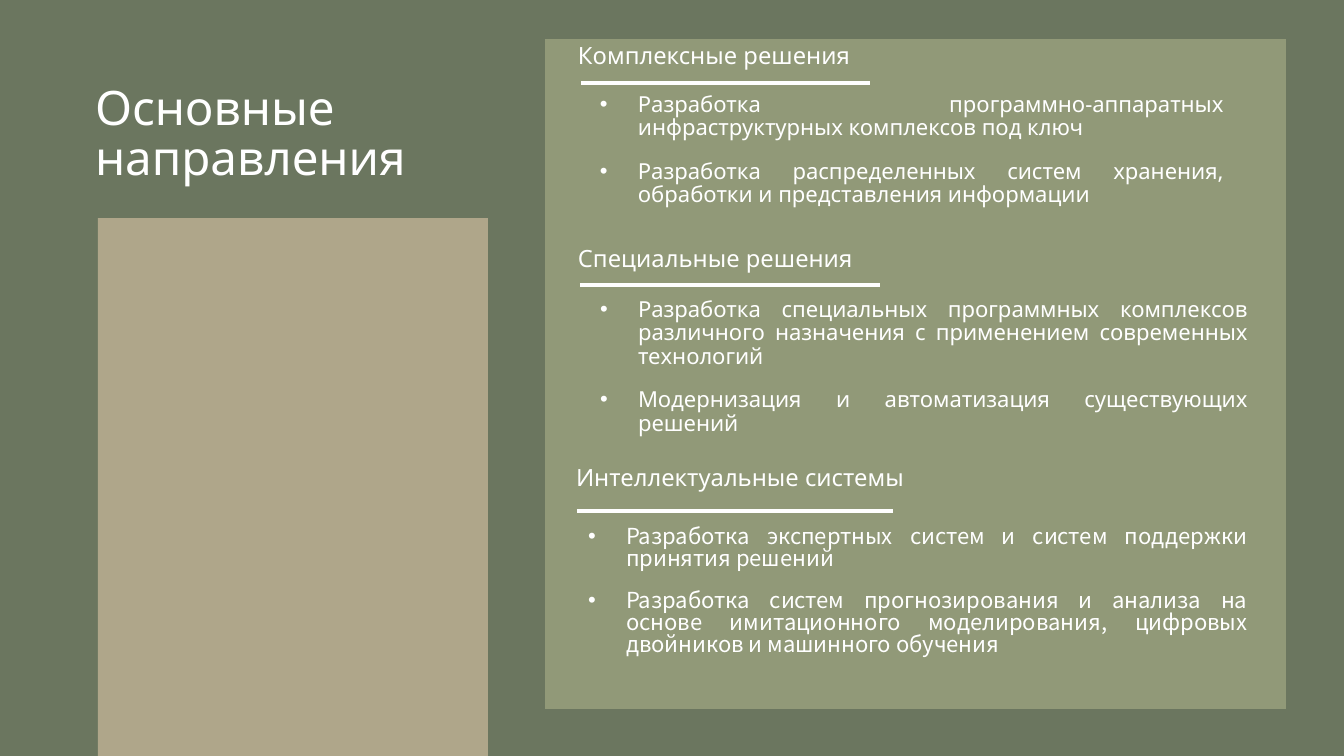
from dataclasses import dataclass

from lxml import etree
from pptx import Presentation
from pptx.dml.color import RGBColor
from pptx.enum.shapes import MSO_CONNECTOR, MSO_SHAPE
from pptx.enum.text import MSO_ANCHOR, MSO_AUTO_SIZE, PP_ALIGN
from pptx.oxml.ns import qn
from pptx.util import Pt

RECTANGLE = MSO_SHAPE.RECTANGLE
STRAIGHT = MSO_CONNECTOR.STRAIGHT
TOP = MSO_ANCHOR.TOP
NO_AUTOFIT = MSO_AUTO_SIZE.NONE
LEFT, JUSTIFY = PP_ALIGN.LEFT, PP_ALIGN.JUSTIFY


@dataclass(frozen=True)
class Theme:
    background: str = "6B765F"
    panel: str = "9EA580"
    accent: str = "AFA68A"
    text: str = "FFFFFF"
    font: str = "Noto Sans"
    alternate_font: str = "Noto Sans CJK JP"
    title_size: int = 28
    heading_size: int = 14
    body_size: int = 13
    line_spacing: float = 0.88
    alternate_spacing: float = 0.83
    panel_opacity: int = 76


THEME = Theme()
EMU_PER_PX = 7495
SLIDE_SIZE = (1344, 756)
PANEL_BOX = (545, 39, 741, 670)
ACCENT_BOX = (98, 218, 390, 538)
TITLE_BOX = (83, 79, 390, 123)
HEADING_INSETS = (12, 6)
BODY_INSETS = (13, 7)
BULLET_INDENT = 38

TITLE = "Основные направления"
SECTIONS = [
    {
        "heading": "Комплексные решения",
        "heading_box": (566, 39, 317, 44),
        "rule": (581, 870, 83),
        "bullets": [
            "Разработка программно-аппаратных инфраструктурных комплексов под ключ",
            "Разработка распределенных систем хранения, обработки и представления информации",
        ],
        "body_box": (587, 87, 649, 140),
        "font": THEME.font,
        "spacing": THEME.line_spacing,
    },
    {
        "heading": "Специальные решения",
        "heading_box": (566, 242, 317, 44),
        "rule": (580, 880, 285),
        "bullets": [
            "Разработка специальных программных комплексов различного назначения "
            "с применением современных технологий",
            "Модернизация и автоматизация существующих решений",
        ],
        "body_box": (587, 292, 673, 140),
        "font": THEME.font,
        "spacing": THEME.line_spacing,
    },
    {
        "heading": "Интеллектуальные системы",
        "heading_box": (564, 460, 423, 50),
        "rule": (577, 893, 511),
        "bullets": [
            "Разработка экспертных систем и систем поддержки принятия решений",
            "Разработка систем прогнозирования и анализа на основе имитационного "
            "моделирования, цифровых двойников и машинного обучения",
        ],
        "body_box": (575, 520, 685, 166),
        "font": THEME.alternate_font,
        "spacing": THEME.alternate_spacing,
    },
]


def px(*lengths):
    return [length * EMU_PER_PX for length in lengths]


def color(value):
    return RGBColor.from_string(value)


def add_bullet(paragraph):
    properties = paragraph._p.get_or_add_pPr()
    properties.set("marL", str(BULLET_INDENT * EMU_PER_PX))
    properties.set("indent", str(-BULLET_INDENT * EMU_PER_PX))
    bullet_color = etree.SubElement(properties, qn("a:buClr"))
    etree.SubElement(bullet_color, qn("a:srgbClr"), val=THEME.text)
    etree.SubElement(properties, qn("a:buFont"), typeface="Arial")
    etree.SubElement(properties, qn("a:buChar"), char="•")


def write_text(shape, texts, size, font=THEME.font, spacing=THEME.line_spacing,
               align=LEFT, insets=HEADING_INSETS, bullets=False):
    frame = shape.text_frame
    frame.word_wrap = True
    frame.auto_size = NO_AUTOFIT
    frame.vertical_anchor = TOP
    frame.margin_left, frame.margin_top = px(*insets)
    frame.margin_right, frame.margin_bottom = px(*insets)
    for index, text in enumerate(texts):
        paragraph = frame.add_paragraph() if index else frame.paragraphs[0]
        if bullets:
            add_bullet(paragraph)
        paragraph.alignment = align
        paragraph.line_spacing = spacing
        paragraph.space_before = Pt(6 if index else 0)
        paragraph.space_after = Pt(6 if bullets else 0)
        run = paragraph.add_run()
        run.text = text
        run.font.name = font
        run.font.size = Pt(size)
        run.font.color.rgb = color(THEME.text)


def add_block(slide, box, fill, opacity=100):
    shape = slide.shapes.add_shape(RECTANGLE, *px(*box))
    shape.shadow.inherit = False
    shape.fill.solid()
    shape.fill.fore_color.rgb = color(fill)
    shape.line.fill.background()
    if opacity < 100:
        fill_color = shape._element.spPr.find(".//" + qn("a:srgbClr"))
        etree.SubElement(fill_color, qn("a:alpha"), val=str(opacity * 1000))


def add_rule(slide, start, end, y):
    connector = slide.shapes.add_connector(STRAIGHT, *px(start, y, end, y))
    connector.line.color.rgb = color(THEME.text)
    connector.line.width = Pt(0)
    etree.SubElement(connector._element.spPr, qn("a:effectLst"))


def add_section(slide, section):
    heading = slide.shapes.add_textbox(*px(*section["heading_box"]))
    write_text(heading, [section["heading"]], THEME.heading_size)
    add_rule(slide, *section["rule"])
    body = slide.shapes.add_textbox(*px(*section["body_box"]))
    write_text(body, section["bullets"], THEME.body_size, font=section["font"],
               spacing=section["spacing"], align=JUSTIFY, insets=BODY_INSETS, bullets=True)


def main():
    presentation = Presentation()
    presentation.slide_width, presentation.slide_height = px(*SLIDE_SIZE)
    slide = presentation.slides.add_slide(presentation.slide_layouts[5])
    slide.background.fill.solid()
    slide.background.fill.fore_color.rgb = color(THEME.background)

    title = slide.shapes.title
    title.left, title.top, title.width, title.height = px(*TITLE_BOX)
    write_text(title, [TITLE], THEME.title_size)

    add_block(slide, PANEL_BOX, THEME.panel, THEME.panel_opacity)
    add_block(slide, ACCENT_BOX, THEME.accent)
    for section in SECTIONS:
        add_section(slide, section)
    presentation.save("out.pptx")


if __name__ == "__main__":
    main()
